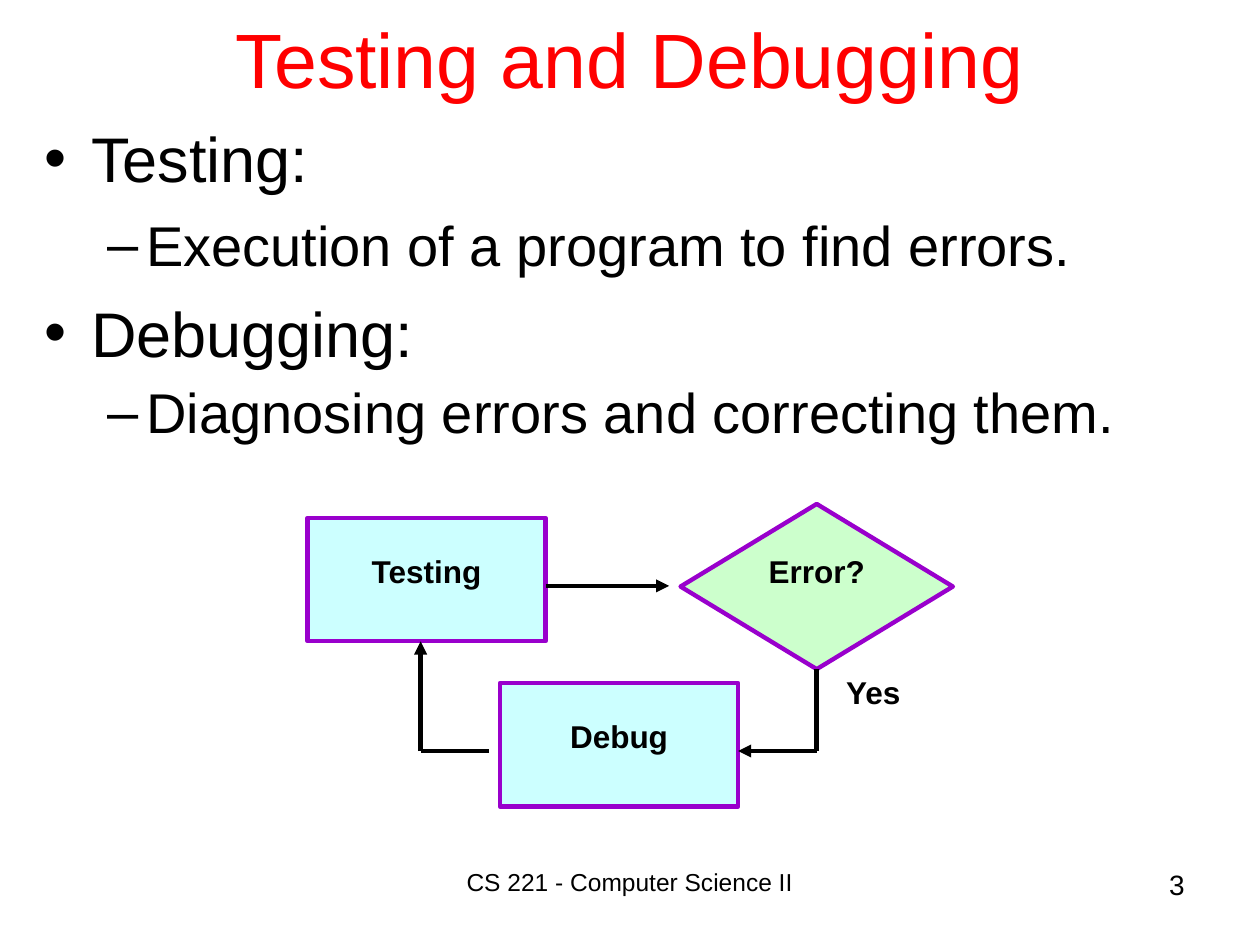
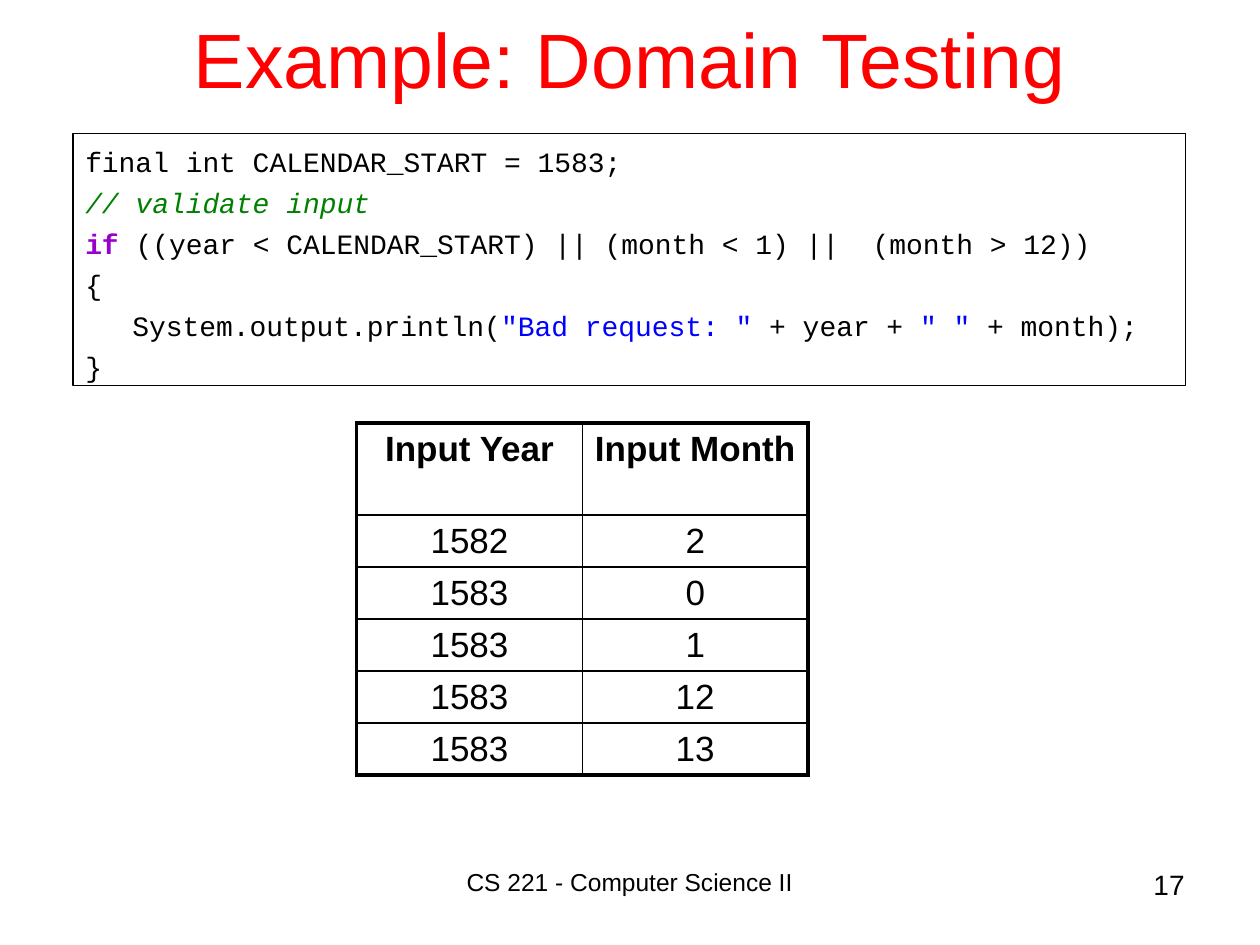
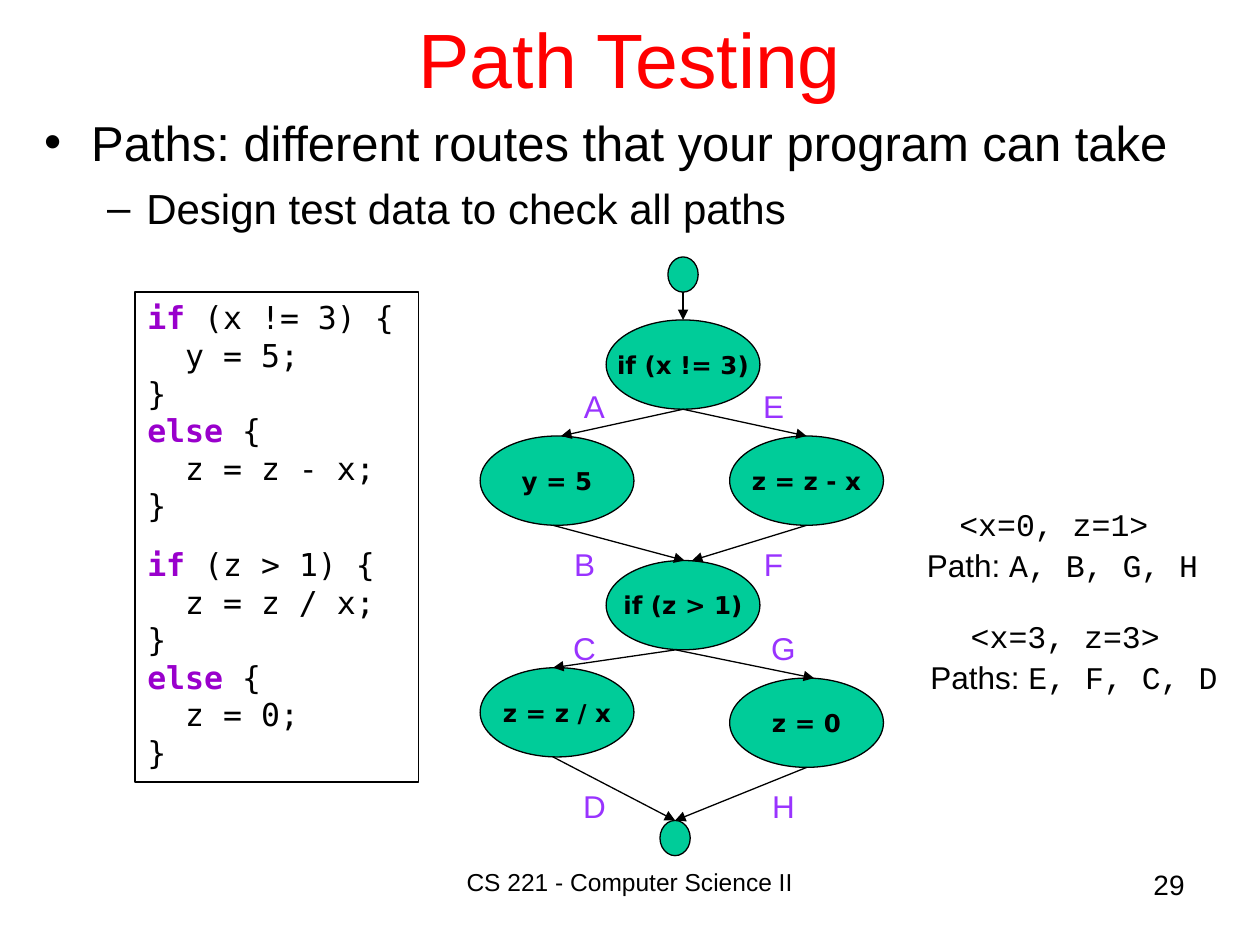
"""Builds three lecture slides on testing and debugging."""
from dataclasses import dataclass

from lxml.etree import SubElement
from pptx import Presentation
from pptx.dml.color import RGBColor
from pptx.enum.shapes import MSO_CONNECTOR, MSO_SHAPE
from pptx.enum.text import MSO_ANCHOR, MSO_AUTO_SIZE, PP_ALIGN
from pptx.oxml.ns import qn
from pptx.util import Cm, Pt


@dataclass(frozen=True)
class Theme:
    sans: str = "Arial"
    code: str = "Courier New"
    listing: str = "DejaVu Sans Mono"
    node: str = "DejaVu Sans"
    black: str = "000000"
    red: str = "FF0000"
    purple: str = "9900CC"
    violet: str = "9933FF"
    comment: str = "008000"
    string: str = "0000FF"
    step_fill: str = "CCFFFF"
    decision_fill: str = "CCFFCC"
    node_fill: str = "00CC99"
    title_size: int = 44
    table_size: int = 20
    label_size: int = 18
    code_size: int = 16
    number_size: int = 16
    node_size: int = 14
    footer_size: int = 14
    gap: float = 0.27
    thick: float = 2.5
    frame: float = 2.25
    thin: float = 0.75


THEME = Theme()
FOOTER = "CS 221 - Computer Science II"
INSET = (0.25, 0.13, 0.25, 0.13)
TIGHT = (0.03, 0.03, 0.03, 0.03)


@dataclass
class Span:
    text: str
    color: str = THEME.black
    bold: bool = False
    italic: bool = False
    font: str = ""


@dataclass
class Para:
    spans: list
    size: float = THEME.label_size
    font: str = THEME.sans
    align: PP_ALIGN = PP_ALIGN.LEFT
    before: float = 0
    line: object = None
    left: float = 0
    hang: float = 0
    bullet: str = ""


CENTER = PP_ALIGN.CENTER
BULLETS = {0: ("•", 0.95, 0.95), 1: ("–", 2.06, 0.79)}

DEBUG_POINTS = [
    (0, "Testing:", 36, None),
    (1, "Execution of a program to find errors.", 32, None),
    (0, "Debugging:", 36, None),
    (1, "Diagnosing errors and correcting them.", 32, 0.9),
]
CYCLE_SHAPES = [
    ("Testing", MSO_SHAPE.RECTANGLE, (6.2, 10.44, 4.8, 2.49), THEME.step_fill, 0.69),
    ("Error?", MSO_SHAPE.DIAMOND, (13.72, 10.16, 5.49, 3.33), THEME.decision_fill, 0.13),
    ("Debug", MSO_SHAPE.RECTANGLE, (10.08, 13.77, 4.8, 2.49), THEME.step_fill, 0.69),
]
CYCLE_ROUTES = [
    [(11, 11.81), (13.49, 11.81)],
    [(16.46, 13.49), (16.46, 15.14), (14.88, 15.14)],
    [(9.86, 15.14), (8.48, 15.14), (8.48, 12.93)],
]

CALENDAR_CODE = [
    (0, [Span("final int CALENDAR_START = 1583;")]),
    (0, [Span("// validate input", THEME.comment, italic=True)]),
    (0, [Span("if ", THEME.purple, bold=True),
         Span("((year < CALENDAR_START) || (month < 1) ||  (month > 12))")]),
    (0, [Span("{")]),
    (0.95, [Span("System.output.println("), Span('"Bad request: "', THEME.string),
            Span(" + year + "), Span('" "', THEME.string), Span(" + month);")]),
    (0, [Span("}")]),
]
DOMAIN_ROWS = [
    ("Input Year", "Input Month"),
    ("1582", "2"),
    ("1583", "0"),
    ("1583", "1"),
    ("1583", "12"),
    ("1583", "13"),
]

PATH_POINTS = [
    (0, "Paths: different routes that your program can take", 28, None),
    (1, "Design test data to check all paths", 24, None),
]
BRANCH_CODE = [
    [("if ", "(x != 3) {"), ("", "  y = 5;"), ("", "}"),
     ("else", " {"), ("", "  z = z - x;"), ("", "}")],
    [("if", " (z > 1) {"), ("", "  z = z / x;"), ("", "}"),
     ("else ", "{"), ("", "  z = 0;"), ("", "}")],
]
NODE, DOT = (3.1, 1.8), (0.61, 0.71)
NODES = {
    "start": ("", 13.77, 5.18, DOT),
    "first test": ("if (x != 3)", 13.77, 6.45, NODE),
    "set y": ("y = 5", 11.23, 8.79, NODE),
    "subtract": ("z = z - x", 16.26, 8.79, NODE),
    "second test": ("if (z > 1)", 13.77, 11.3, NODE),
    "divide": ("z = z / x", 11.23, 13.46, NODE),
    "clear": ("z = 0", 16.26, 13.67, NODE),
    "end": ("", 13.61, 16.54, DOT),
}
EDGES = [
    ("start", "first test", 0, 0),
    ("first test", "set y", 0, 0.08),
    ("first test", "subtract", 0, 0),
    ("set y", "second test", -0.08, 0.03),
    ("subtract", "second test", 0, 0.18),
    ("second test", "divide", -0.15, -0.08),
    ("second test", "clear", -0.15, 0.15),
    ("divide", "end", -0.08, 0),
    ("clear", "end", 0, 0),
]
EDGE_LABELS = [
    ("A", 11.35, 7.77), ("B", 11.15, 10.95), ("C", 11.15, 12.65), ("D", 11.35, 15.83),
    ("E", 14.96, 7.77), ("F", 14.96, 10.95), ("G", 15.16, 12.65), ("H", 15.16, 15.83),
]
PATH_CASES = [
    ("<x=0, z=1>", "Path: ", "A, B, G, H", (17.98, 10.15)),
    ("<x=3, z=3>", "Paths: ", "E, F, C, D", (18.21, 12.41)),
]


def rgb(value):
    """Turn a hex string into a colour."""
    return RGBColor.from_string(value)


def write(frame, paras, insets=INSET, anchor=MSO_ANCHOR.TOP, wrap=True):
    """Fill a text frame with formatted paragraphs."""
    frame.auto_size = MSO_AUTO_SIZE.NONE
    frame.word_wrap = wrap
    frame.vertical_anchor = anchor
    (frame.margin_left, frame.margin_top,
     frame.margin_right, frame.margin_bottom) = map(Cm, insets)
    for index, item in enumerate(paras):
        para = frame.add_paragraph() if index else frame.paragraphs[0]
        para.alignment = item.align
        para.space_before = Pt(item.before if index else 0)
        if item.line:
            para.line_spacing = item.line
        properties = para._p.get_or_add_pPr()
        properties.set("marL", str(Cm(item.left)))
        properties.set("indent", str(-Cm(item.hang)))
        if item.bullet:
            SubElement(properties, qn("a:buFont")).set("typeface", THEME.sans)
            SubElement(properties, qn("a:buChar")).set("char", item.bullet)
        for part in item.spans:
            span = para.add_run()
            span.text = part.text
            span.font.name = part.font or item.font
            span.font.size = Pt(item.size)
            span.font.bold = part.bold
            span.font.italic = part.italic
            span.font.color.rgb = rgb(part.color)


def add_text(page, place, paras, insets=INSET):
    """Add a text box."""
    box = page.shapes.add_textbox(*map(Cm, place))
    write(box.text_frame, paras, insets)


def add_box(page, kind, place, fill, line, width):
    """Add an outlined shape, unfilled when fill is None."""
    box = page.shapes.add_shape(kind, *map(Cm, place))
    box.shadow.inherit = False
    if fill:
        box.fill.solid()
        box.fill.fore_color.rgb = rgb(fill)
    else:
        box.fill.background()
    box.line.color.rgb = rgb(line)
    box.line.width = Pt(width)
    return box


def add_line(page, start, end, width, arrow=True):
    """Add a straight black line, with an arrowhead at its end if wanted."""
    line = page.shapes.add_connector(MSO_CONNECTOR.STRAIGHT, *map(Cm, (*start, *end)))
    line.line.color.rgb = rgb(THEME.black)
    line.line.width = Pt(width)
    if arrow:
        SubElement(line.line._get_or_add_ln(), qn("a:tailEnd")).set("type", "triangle")
    SubElement(line._element.spPr, qn("a:effectLst"))


def add_page(deck, title, number):
    """Add a page with its title, footer and number."""
    page = deck.slides.add_slide(deck.slide_layouts[5])
    heading = page.shapes.title
    heading.left, heading.top, heading.width, heading.height = map(Cm, (1.9, -0.43, 21.6, 3.18))
    write(heading.text_frame,
          [Para([Span(title, THEME.red)], THEME.title_size, align=CENTER)],
          anchor=MSO_ANCHOR.MIDDLE)
    add_text(page, (7.83, 17.35, 9.73, 1.27),
             [Para([Span(FOOTER)], THEME.footer_size, align=CENTER)])
    add_text(page, (18.85, 17.35, 5.28, 1.27),
             [Para([Span(str(number))], THEME.number_size, align=PP_ALIGN.RIGHT)])
    return page


def add_points(page, top, height, points):
    """Add the two-level bullet list."""
    paras = []
    for level, text, size, line in points:
        bullet, left, hang = BULLETS[level]
        paras.append(Para([Span(text)], size, before=round(size * THEME.gap, 1), line=line,
                          left=left, hang=hang, bullet=bullet))
    add_text(page, (0.64, top, 24.13, height), paras)


def build_debugging(deck):
    """Build the test and debug cycle."""
    page = add_page(deck, "Testing and Debugging", 3)
    add_points(page, 2.28, 7.11, DEBUG_POINTS)
    for text, kind, place, fill, top in CYCLE_SHAPES:
        box = add_box(page, kind, place, fill, THEME.purple, THEME.thick)
        write(box.text_frame, [Para([Span(text, bold=True)], align=CENTER)], (0, top, 0, 0))
    add_text(page, (16.46, 13.53, 2.29, 1.07),
             [Para([Span("Yes", bold=True)], align=CENTER)], TIGHT)
    for route in CYCLE_ROUTES:
        for start, end in zip(route, route[1:]):
            add_line(page, start, end, THEME.thick, arrow=end == route[-1])


def add_border(cell, edge, width):
    """Draw one border of a table cell."""
    border = SubElement(cell._tc.get_or_add_tcPr(), qn("a:ln" + edge), w=str(Pt(width)))
    fill = SubElement(border, qn("a:solidFill"))
    SubElement(fill, qn("a:srgbClr")).set("val", THEME.black)


def build_domain(deck):
    """Build the domain testing example."""
    page = add_page(deck, "Example: Domain Testing", 17)
    rows, columns = len(DOMAIN_ROWS), len(DOMAIN_ROWS[0])
    table = page.shapes.add_table(rows, columns, *map(Cm, (7.19, 8.53, 9.1, 7.05))).table
    table.first_row = table.horz_banding = False
    for r, values in enumerate(DOMAIN_ROWS):
        table.rows[r].height = Cm(1.04 if r else 1.85)
        for c, value in enumerate(values):
            cell = table.cell(r, c)
            outer = {"L": c == 0, "R": c == columns - 1, "T": r == 0, "B": r == rows - 1}
            for edge, is_outer in outer.items():
                add_border(cell, edge, THEME.frame if is_outer else 1)
            cell.fill.background()
            cell.margin_left = cell.margin_right = Cm(0.25)
            cell.margin_top = cell.margin_bottom = Cm(0.13)
            para = cell.text_frame.paragraphs[0]
            para.alignment = CENTER
            span = para.add_run()
            span.text = value
            span.font.name = THEME.sans
            span.font.size = Pt(THEME.table_size)
            span.font.bold = r == 0
            span.font.color.rgb = rgb(THEME.black)
    box = add_box(page, MSO_SHAPE.RECTANGLE, (1.47, 2.69, 22.43, 5.08), None,
                  THEME.black, THEME.thin)
    write(box.text_frame,
          [Para(spans, THEME.code_size, THEME.code, left=left,
                before=round(THEME.code_size * THEME.gap, 1))
           for left, spans in CALENDAR_CODE], (0.25, 0.22, 0.25, 0.13))


def build_paths(deck):
    """Build the flow graph with its code and test cases."""
    page = add_page(deck, "Path Testing", 29)
    add_points(page, 2.14, 15.24, PATH_POINTS)
    listing = []
    for block in BRANCH_CODE:
        for index, (keyword, rest) in enumerate(block):
            spans = [Span(keyword, THEME.purple, bold=True)] if keyword else []
            listing.append(Para(spans + [Span(rest)], font=THEME.listing, line=Pt(21.5),
                                before=0 if index else 12))
    box = add_box(page, MSO_SHAPE.RECTANGLE, (2.72, 5.89, 5.72, 9.88), None, THEME.black, 1)
    write(box.text_frame, listing)
    for text, center, top, (width, height) in NODES.values():
        node = add_box(page, MSO_SHAPE.OVAL, (center - width / 2, top, width, height),
                       THEME.node_fill, THEME.black, THEME.thin)
        if text:
            write(node.text_frame,
                  [Para([Span(text, bold=True)], THEME.node_size, THEME.node, CENTER)],
                  anchor=MSO_ANCHOR.MIDDLE, wrap=False)
    for source, target, start_shift, end_shift in EDGES:
        _, start_x, start_top, (_, height) = NODES[source]
        _, end_x, end_top, _ = NODES[target]
        add_line(page, (start_x + start_shift, start_top + height),
                 (end_x + end_shift, end_top), THEME.thin)
    for letter, left, top in EDGE_LABELS:
        add_text(page, (left, top, 1.27, 0.81),
                 [Para([Span(letter, THEME.violet)], align=CENTER)], TIGHT)
    for values, label, route, place in PATH_CASES:
        add_text(page, (*place, 6.53, 1.68),
                 [Para([Span(values)], font=THEME.code, align=CENTER),
                  Para([Span(label), Span(route, font=THEME.code)], align=CENTER,
                       before=2, left=0.35)], TIGHT)


def main():
    """Build and save the deck."""
    deck = Presentation()
    deck.slide_width, deck.slide_height = Cm(25.4), Cm(19.05)
    build_debugging(deck)
    build_domain(deck)
    build_paths(deck)
    deck.save("out.pptx")


if __name__ == "__main__":
    main()
